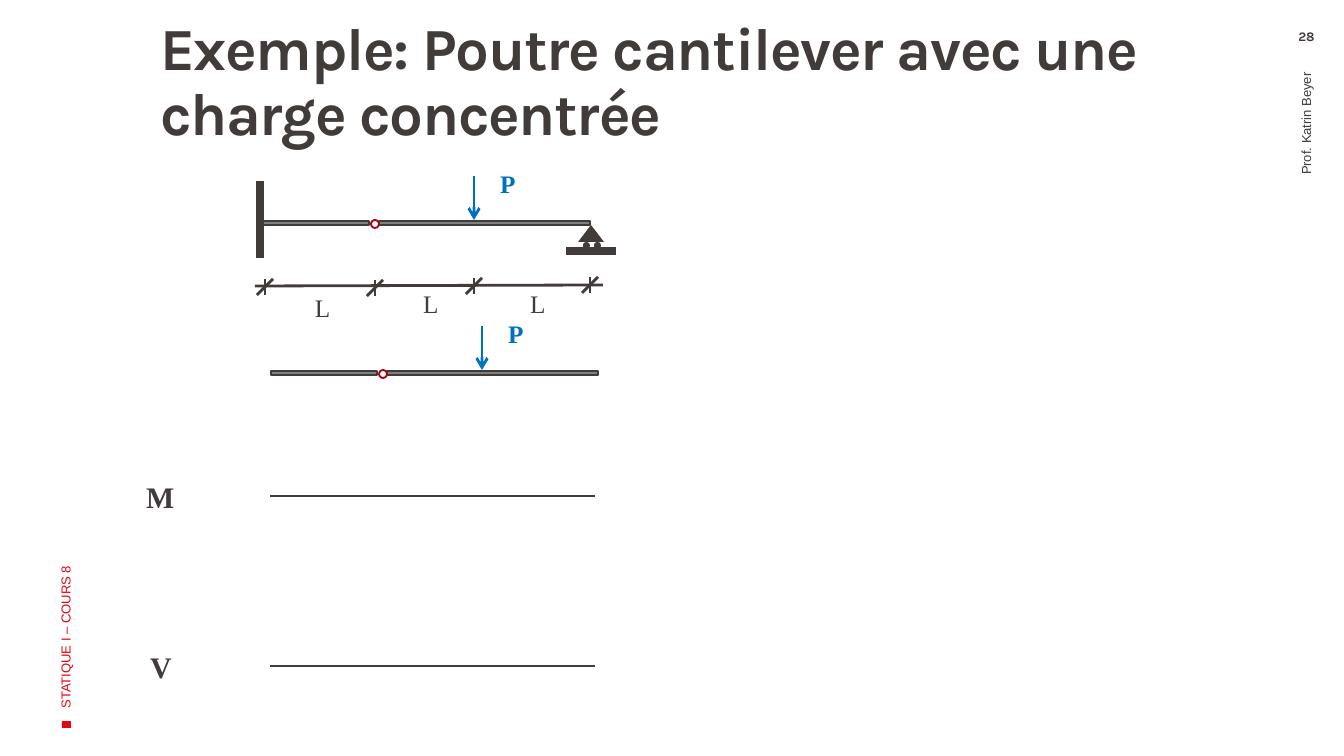
from pptx import Presentation
from pptx.dml.color import RGBColor
from pptx.enum.shapes import MSO_CONNECTOR as Connector, MSO_SHAPE as Shape
from pptx.enum.text import MSO_ANCHOR as Anchor, PP_ALIGN as Align
from pptx.oxml.ns import qn
from pptx.util import Pt
from lxml.etree import SubElement

EMU_PER_PX = 914400 / 134.4
COLORS = {"dark": "413C3A", "red": "E30613", "blue": "0070C0",
          "grey": "808080", "hinge": "A8040E"}
SERIF = "Times New Roman"


def px(value):
    return round(value * EMU_PER_PX)


def color(name):
    return RGBColor.from_string(COLORS[name])


def add_text(parent, text, left, top, width, height, *, size, font="Arial",
             tone="dark", bold=False, align=Align.LEFT, anchor=Anchor.TOP,
             insets=(13, 7, 13, 7), rotation=0, wrap=True, leading=None, tracking=None):
    box = parent.shapes.add_textbox(px(left), px(top), px(width), px(height))
    box.rotation = rotation
    frame = box.text_frame
    frame.word_wrap = wrap
    frame.vertical_anchor = anchor
    (frame.margin_left, frame.margin_top,
     frame.margin_right, frame.margin_bottom) = map(px, insets)
    para = frame.paragraphs[0]
    para.alignment = align
    if leading:
        para.line_spacing = leading
    span = para.add_run()
    span.text = text
    span.font.name = font
    span.font.size = Pt(size)
    span.font.bold = bold
    span.font.color.rgb = color(tone)
    if tracking:
        span.font._element.set("spc", str(tracking))


def add_line(parent, x1, y1, x2, y2, tone="dark", weight=1.5, arrow=False):
    line = parent.shapes.add_connector(Connector.STRAIGHT, px(x1), px(y1), px(x2), px(y2))
    line.line.color.rgb = color(tone)
    line.line.width = Pt(weight)
    if arrow:
        SubElement(line.line._get_or_add_ln(), qn("a:tailEnd"), type="arrow")
    SubElement(line._element.spPr, qn("a:effectLst"))


def add_figure(parent, kind, left, top, width, height, fill=None, outline=None, rotation=0):
    figure = parent.shapes.add_shape(kind, px(left), px(top), px(width), px(height))
    figure.shadow.inherit = False
    figure.rotation = rotation
    if fill:
        figure.fill.solid()
        figure.fill.fore_color.rgb = color(fill)
    else:
        figure.fill.background()
    if outline:
        figure.line.color.rgb = color(outline)
        figure.line.width = Pt(1)
    else:
        figure.line.fill.background()


def add_symbol(parent, text, left, top, tone="dark", bold=False):
    add_text(parent, text, left, top, 35, 40, size=13.5, font=SERIF,
             tone=tone, bold=bold, wrap=False)


def add_loaded_beam(parent, left, top):
    for start, length in ((0, 106), (116, 211)):
        add_figure(parent, Shape.RECTANGLE, left + start, top, length, 4, "grey", "dark")
    add_figure(parent, Shape.OVAL, left + 108, top - 1, 8, 8, outline="hinge")
    add_line(parent, left + 211, top - 45, left + 211, top - 1, "blue", arrow=True)
    add_symbol(parent, "P", left + 224, top - 60, "blue", bold=True)


def add_supports(parent):
    add_line(parent, 260, 181, 260, 258, weight=4)
    add_figure(parent, Shape.ISOSCELES_TRIANGLE, 578, 225, 26, 17, "dark")
    for left in (583, 594):
        add_figure(parent, Shape.OVAL, left, 242, 7, 7, "dark")
    add_line(parent, 566, 251, 616, 251, weight=4)


def add_dimensions(parent):
    add_line(parent, 255, 286, 603, 285)
    for x, y in ((265, 287), (375, 288), (474, 286), (590, 285)):
        add_line(parent, x, y - 8, x, y + 8)
        add_line(parent, x - 8, y + 8, x + 8, y - 8)
    for left, top in ((302, 285), (410, 281), (517, 281)):
        add_symbol(parent, "L", left, top)


def add_diagram_axis(page, label, left, y):
    add_line(page, 270, y, 595, y)
    add_text(page, label, left, y - 24, 52, 50, size=16, font=SERIF, bold=True)


def add_margin_texts(page):
    add_figure(page, Shape.RECTANGLE, 63, 720, 7, 9, "red", rotation=270)
    add_text(page, "STATIQUE I – COURS 8", -180, 409, 491, 134, size=7,
             tone="red", anchor=Anchor.MIDDLE, rotation=270)
    add_text(page, "Prof. Katrin Beyer", 1046, 276, 520, 75, size=7, align=Align.RIGHT,
             anchor=Anchor.MIDDLE, insets=(13, 7, 19, 7), rotation=270)
    add_text(page, "28", 1269, 28, 75, 24, size=7, font="Karla", bold=True,
             align=Align.CENTER, insets=(13, 0, 13, 0))


def main():
    deck = Presentation()
    deck.slide_width, deck.slide_height = px(1344), px(756)
    page = deck.slides.add_slide(deck.slide_layouts[6])
    add_margin_texts(page)
    add_text(page, "Exemple: Poutre cantilever avec une charge concentrée",
             133, 19, 1031, 157, size=32, font="Karla", bold=True,
             insets=(27, 0, 11, 7), leading=0.9, tracking=-70)
    add_diagram_axis(page, "M", 133, 496)
    add_diagram_axis(page, "V", 137, 666)
    system = page.shapes.add_group_shape()
    add_loaded_beam(system, 263, 221)
    add_supports(system)
    add_dimensions(system)
    free_body = page.shapes.add_group_shape()
    add_loaded_beam(free_body, 271, 371)
    deck.save("out.pptx")


if __name__ == "__main__":
    main()
